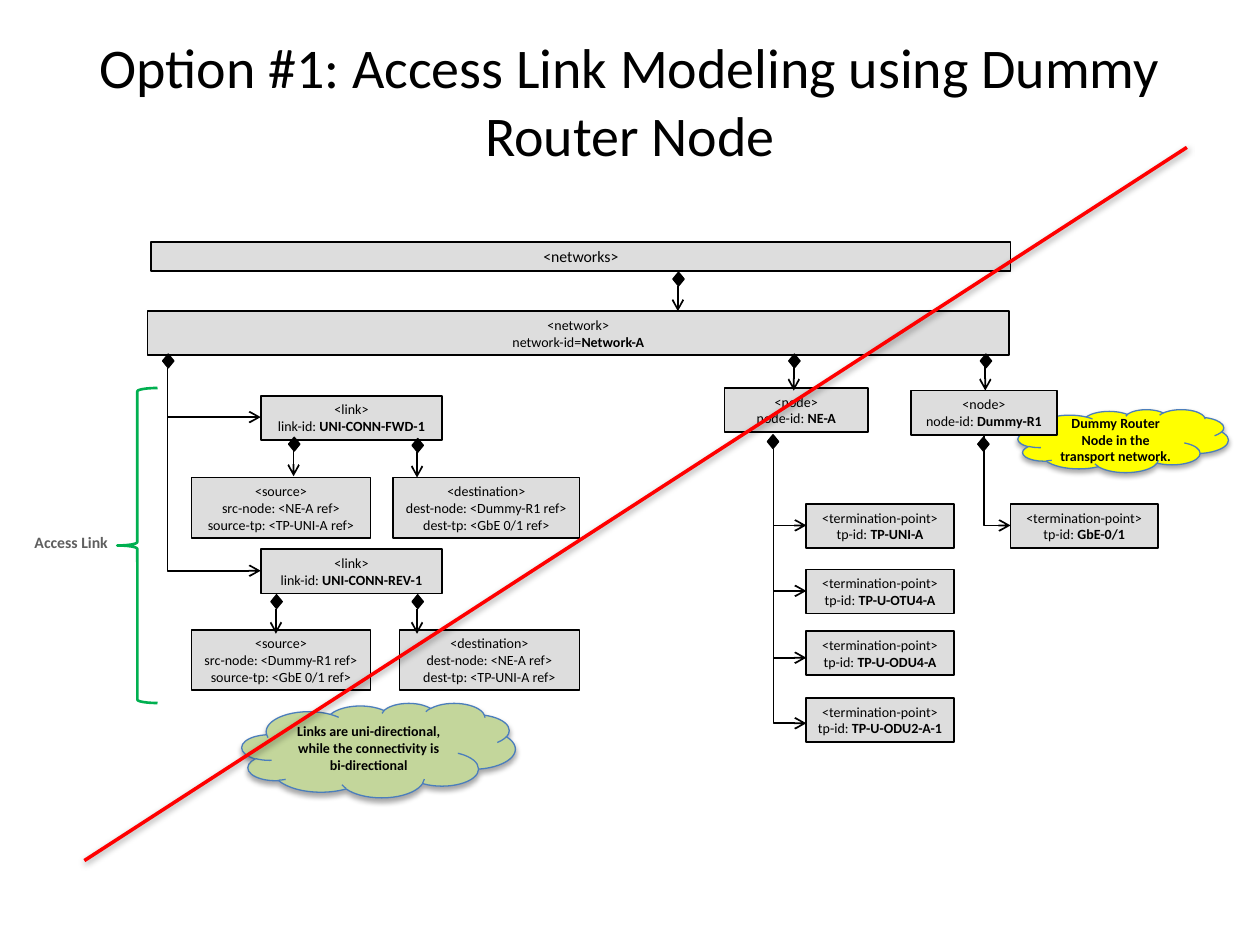
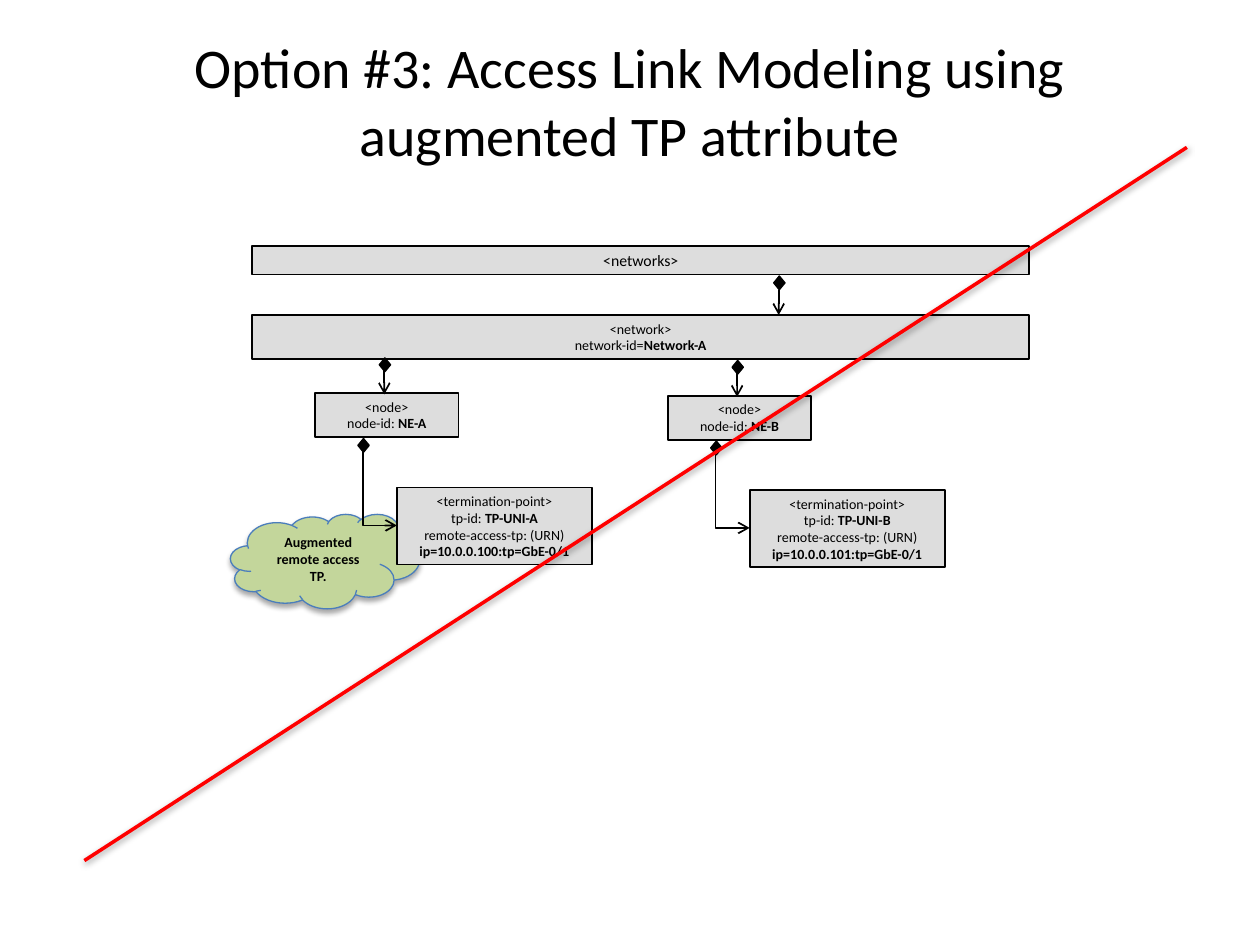
from dataclasses import dataclass
from lxml import etree
from pptx import Presentation
from pptx.dml.color import RGBColor
from pptx.enum.shapes import MSO_CONNECTOR, MSO_SHAPE
from pptx.enum.text import MSO_ANCHOR, MSO_AUTO_SIZE, PP_ALIGN
from pptx.oxml.ns import qn
from pptx.util import Inches, Pt


@dataclass(frozen=True)
class Theme:
    font: str = "Calibri"
    black: str = "000000"
    box: str = "DDDDDD"
    green: str = "C3D69B"
    yellow: str = "FFFF00"
    cloud_edge: str = "4B7EBC"
    brace: str = "00B050"
    label: str = "5F5F5F"
    strike: str = "FF0000"
    title_size: float = 32
    heading_size: float = 9
    body_size: float = 8


THEME = Theme()
ROW_TWO = 0.35
ROW_THREE = 0.48


def color(code):
    return RGBColor.from_string(code)


def style_span(span, size, code, bold):
    span.font.name = THEME.font
    span.font.size = Pt(size)
    span.font.color.rgb = color(code)
    span.font.bold = bold


def write(shape, lines, size, code=THEME.black, bold=False, anchor=MSO_ANCHOR.MIDDLE):
    frame = shape.text_frame
    frame.word_wrap = True
    frame.vertical_anchor = anchor
    for index, line in enumerate(lines):
        para = frame.paragraphs[0] if index == 0 else frame.add_paragraph()
        plain, _, strong = line.partition("|")
        para.text = plain
        para.alignment = PP_ALIGN.CENTER
        style_span(para.runs[0], size, code, bold)
        if strong:
            span = para.add_run()
            span.text = strong
            style_span(span, size, code, True)


def fit_text(shape):
    frame = shape.text_frame
    frame.margin_left = frame.margin_right = Inches(0.07)
    frame.margin_top = frame.margin_bottom = Inches(0.04)
    frame.auto_size = MSO_AUTO_SIZE.SHAPE_TO_FIT_TEXT


def add_preset(page, preset, place, fill, edge, width):
    shape = page.shapes.add_shape(preset, *map(Inches, place))
    shape.shadow.inherit = False
    if fill:
        shape.fill.solid()
        shape.fill.fore_color.rgb = color(fill)
    else:
        shape.fill.background()
    shape.line.color.rgb = color(edge)
    shape.line.width = Pt(width)
    return shape


def add_shadow(effects, distance, opacity):
    shadow = etree.SubElement(
        effects, qn("a:outerShdw"), blurRad=str(Pt(3.1)),
        dist=str(Pt(distance)), dir="5400000", rotWithShape="0")
    shade = etree.SubElement(shadow, qn("a:srgbClr"), val=THEME.black)
    etree.SubElement(shade, qn("a:alpha"), val=str(opacity * 1000))


def add_line(page, start, end, code, width):
    line = page.shapes.add_connector(
        MSO_CONNECTOR.STRAIGHT, *map(Inches, start + end))
    line.line.color.rgb = color(code)
    line.line.width = Pt(width)
    effects = etree.SubElement(line._element.spPr, qn("a:effectLst"))
    return line, effects


def add_arrow(page, start, end):
    arrow, _ = add_line(page, start, end, THEME.black, 1)
    outline = arrow._element.spPr.find(qn("a:ln"))
    etree.SubElement(outline, qn("a:tailEnd"), type="arrow")
    return arrow


def add_elbow(page, start, end):
    across, down = end[0] - start[0], end[1] - start[1]
    middle_x, middle_y = (start[0] + end[0]) / 2, (start[1] + end[1]) / 2
    elbow = add_arrow(
        page,
        (middle_x - down / 2, middle_y - across / 2),
        (middle_x + down / 2, middle_y + across / 2))
    properties = elbow._element.spPr
    properties.find(qn("a:prstGeom")).set("prst", "bentConnector2")
    frame = properties.find(qn("a:xfrm"))
    frame.set("rot", "16200000")
    frame.set("flipH", "1")


def add_diamond(page, x, top):
    add_preset(page, MSO_SHAPE.DIAMOND, (x - 0.04, top, 0.09, 0.11),
               THEME.black, THEME.black, 0.75)


def add_containment(page, x, top, offset=0.11):
    add_diamond(page, x, top)
    add_arrow(page, (x, top + offset), (x, top + offset + 0.2))


def add_box(page, left, top, width, height, *lines, size=THEME.body_size):
    box = add_preset(page, MSO_SHAPE.RECTANGLE, (left, top, width, height),
                     THEME.box, THEME.black, 1)
    write(box, lines, size, anchor=MSO_ANCHOR.TOP)
    fit_text(box)


def add_node(page, left, top, width, name):
    add_box(page, left, top, width, ROW_TWO, "<node>", f"node-id: |{name}")


def add_termination_point(page, left, top, name):
    add_box(page, left, top, 1.17, ROW_TWO, "<termination-point>", f"tp-id: |{name}")


def add_link(page, top, name, ends_top, source, destination, destination_left):
    add_box(page, 2.07, top, 1.44, ROW_TWO, "<link>", f"link-id: |{name}")
    add_box(page, 1.52, ends_top, 1.42, ROW_THREE, "<source>",
            f"src-node: <{source[0]} ref>", f"source-tp: <{source[1]} ref>")
    add_box(page, destination_left, ends_top, 4.6 - destination_left, ROW_THREE,
            "<destination>", f"dest-node: <{destination[0]} ref>",
            f"dest-tp: <{destination[1]} ref>")


def add_cloud(page, place, fill, text):
    cloud = add_preset(page, MSO_SHAPE.CLOUD, place, fill, THEME.cloud_edge, 0.75)
    write(cloud, [text], THEME.body_size, bold=True)
    add_shadow(cloud._element.spPr.find(qn("a:effectLst")), 1.8, 35)


def add_title(page, text):
    title = page.shapes.add_textbox(*map(Inches, (0.5, 0.17, 9, 1.25)))
    write(title, [text], THEME.title_size)


def add_networks(page, top, networks_span, network_span, stem_x):
    left, width = networks_span
    add_box(page, left, top, width, 0.23, "<networks>", size=THEME.heading_size)
    add_containment(page, stem_x, top + 0.24)
    left, width = network_span
    add_box(page, left, top + 0.55, width, ROW_TWO,
            "<network>", "network-id=|Network-A")


def add_strike(page):
    _, effects = add_line(page, (0.67, 6.83), (9.42, 1.17), THEME.strike, 2)
    add_shadow(effects, 1.6, 38)


def add_access_links(page):
    near, far = ("NE-A", "TP-UNI-A"), ("Dummy-R1", "GbE 0/1")
    add_diamond(page, 1.33, 2.81)
    add_link(page, 3.14, "UNI-CONN-FWD-1", 3.79, near, far, 3.12)
    add_link(page, 4.36, "UNI-CONN-REV-1", 5, far, near, 3.17)
    for x, top in ((2.33, 3.47), (3.31, 3.48), (2.19, 4.72), (3.31, 4.72)):
        add_containment(page, x, top)
    add_elbow(page, (1.33, 2.92), (2.07, 3.31))
    add_elbow(page, (1.33, 3.3), (2.07, 4.53))
    add_preset(page, MSO_SHAPE.LEFT_BRACE, (0.93, 3.08, 0.32, 2.5),
               None, THEME.brace, 1.5)
    label = page.shapes.add_textbox(*map(Inches, (0.18, 4.19, 0.77, 0.23)))
    write(label, ["Access Link"], THEME.heading_size, THEME.label, True, MSO_ANCHOR.TOP)
    fit_text(label)
    label.text_frame.word_wrap = False


def add_dummy_nodes(page):
    add_node(page, 5.75, 3.08, 1.14, "NE-A")
    add_node(page, 7.23, 3.1, 1.16, "Dummy-R1")
    for x in (6.3, 7.82):
        add_containment(page, x, 2.81, 0.09)
    points = ((4, "TP-UNI-A", 3.56, 4.17), (4.52, "TP-U-OTU4-A", 4.15, 4.69),
              (5.01, "TP-U-ODU4-A", 4.67, 5.22), (5.54, "TP-U-ODU2-A-1", 5.22, 5.74))
    add_diamond(page, 6.13, 3.45)
    for top, name, start_y, end_y in points:
        add_termination_point(page, 6.4, top, name)
        add_elbow(page, (6.14, start_y), (6.4, end_y))
    add_termination_point(page, 8.02, 4, "GbE-0/1")
    add_elbow(page, (7.81, 3.45), (8.02, 4.17))
    add_diamond(page, 7.8, 3.47)


def add_augmented_node(page, left, top, suffix, address):
    add_node(page, left, top, 1.14, f"NE-{suffix}")
    add_containment(page, left + 0.55, top - 0.28, 0.09)
    add_box(page, left + 0.65, top + 0.75, 1.55, 0.61, "<termination-point>",
            f"tp-id: |TP-UNI-{suffix}",
            f"remote-access-tp: (URN) |ip={address}:tp=GbE-0/1")
    add_diamond(page, left + 0.38, top + 0.36)
    add_elbow(page, (left + 0.38, top + 0.47), (left + 0.65, top + 1.05))


def build_dummy_router(page):
    add_cloud(page, (8.08, 3.25, 1.67, 0.5), THEME.yellow,
              "Dummy Router Node in the transport network.")
    add_title(page, "Option #1: Access Link Modeling using Dummy Router Node")
    add_networks(page, 1.92, (1.2, 6.82), (1.17, 6.84), 5.38)
    add_access_links(page)
    add_dummy_nodes(page)
    add_cloud(page, (1.92, 5.58, 2.17, 0.75), THEME.green,
              "Links are uni-directional, while the connectivity is bi-directional")
    add_strike(page)


def build_augmented_point(page):
    add_cloud(page, (1.83, 4.08, 1.5, 0.75), THEME.green,
              "Augmented remote access TP.")
    add_title(page, "Option #3: Access Link Modeling using augmented TP attribute")
    add_networks(page, 1.95, (2, 6.17), (2, 6.17), 6.18)
    add_augmented_node(page, 2.5, 3.12, "A", "10.0.0.100")
    add_augmented_node(page, 5.3, 3.14, "B", "10.0.0.101")
    add_strike(page)


def main():
    deck = Presentation()
    deck.slide_width, deck.slide_height = Inches(10), Inches(7.5)
    for build in (build_dummy_router, build_augmented_point):
        build(deck.slides.add_slide(deck.slide_layouts[6]))
    deck.save("out.pptx")


main()
